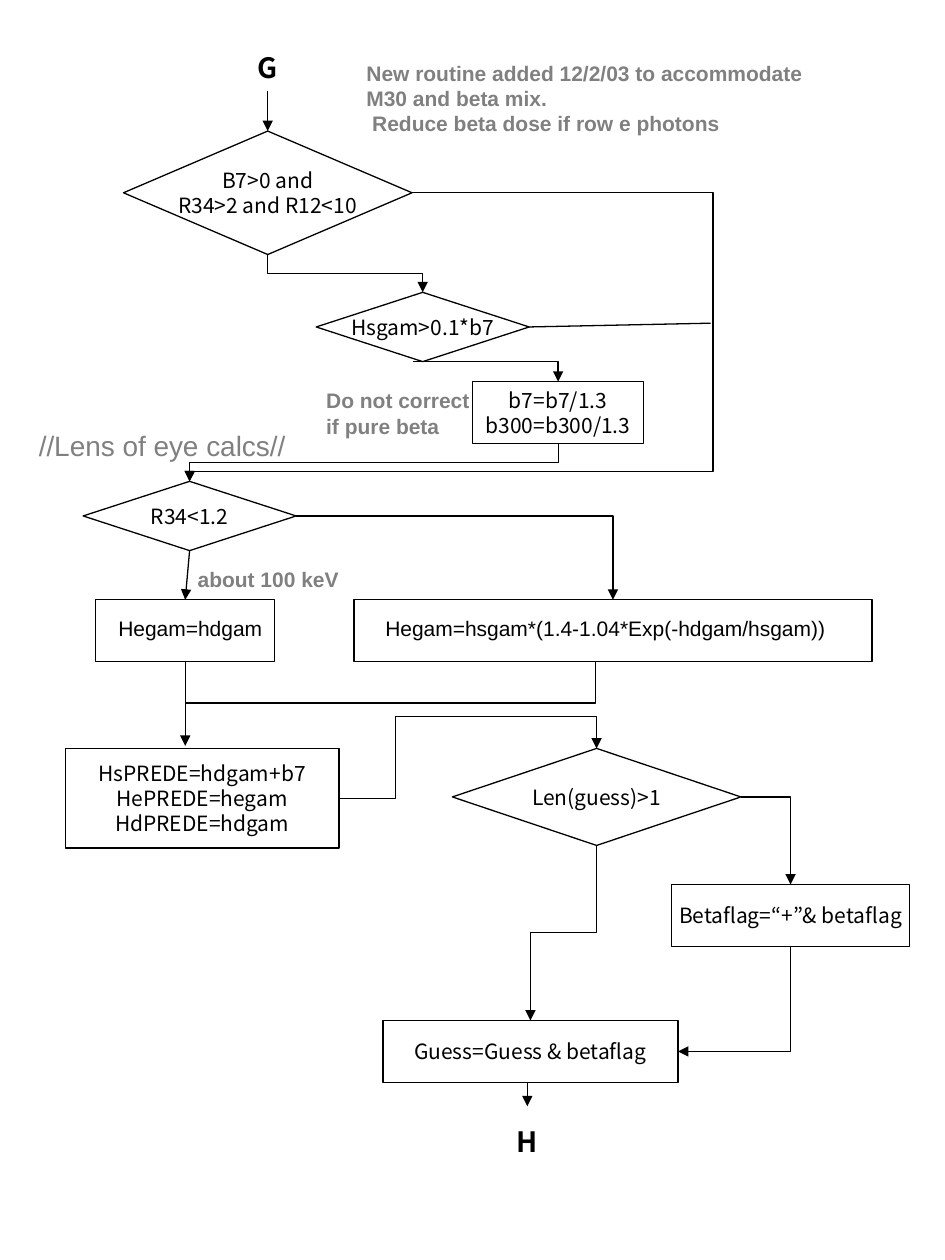
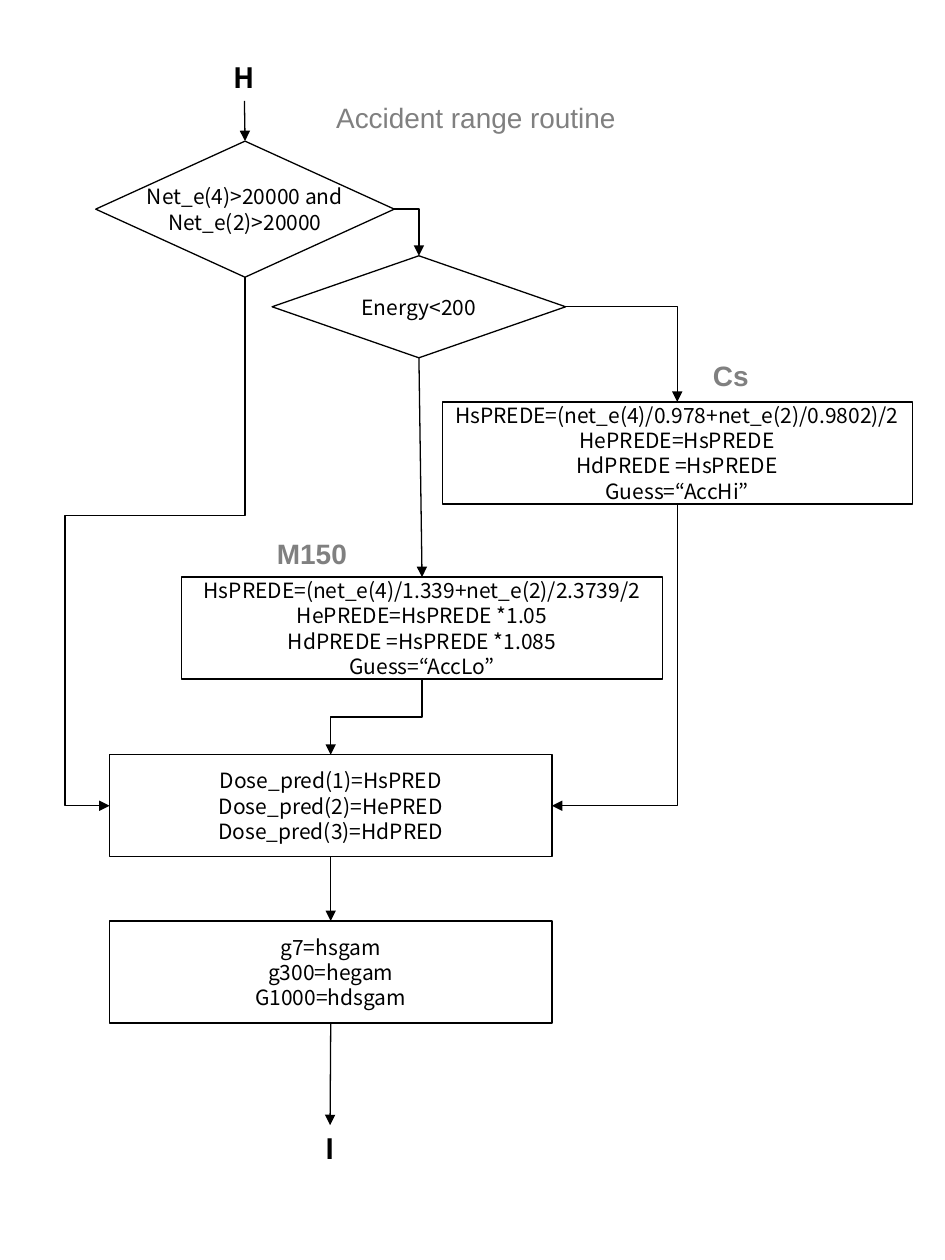
from dataclasses import dataclass

from lxml.etree import SubElement
from pptx import Presentation
from pptx.dml.color import RGBColor
from pptx.enum.shapes import MSO_CONNECTOR, MSO_SHAPE
from pptx.enum.text import MSO_ANCHOR, MSO_AUTO_SIZE, PP_ALIGN
from pptx.oxml.ns import qn
from pptx.util import Inches, Pt

BLACK = RGBColor(0x00, 0x00, 0x00)
GREY = RGBColor(0x80, 0x80, 0x80)
LINE_WIDTH = Pt(0.75)
CODE_FONT = "Noto Sans CJK KR"
NOTE_FONT = "Arial"

CODE = {"size": Pt(12), "name": CODE_FONT, "color": BLACK, "bold": False}
LETTER = {"size": Pt(16), "name": CODE_FONT, "color": BLACK, "bold": True}
FORMULA = {"size": Pt(12), "name": NOTE_FONT, "color": BLACK, "bold": False}
REMARK = {"size": Pt(12), "name": NOTE_FONT, "color": GREY, "bold": True}
HEADING = {"size": Pt(16), "name": NOTE_FONT, "color": GREY, "bold": False}
SOURCE = {"size": Pt(16), "name": NOTE_FONT, "color": GREY, "bold": True}


@dataclass
class Box:
    """A rectangle on the page, in inches, with the middles of its sides."""
    left: float
    top: float
    width: float
    height: float

    def inside(self, left, top, width, height):
        return Box(self.left + left, self.top + top, width, height)

    def lengths(self):
        return [Inches(v) for v in (self.left, self.top, self.width, self.height)]

    @property
    def north(self):
        return self.left + self.width / 2, self.top

    @property
    def south(self):
        return self.left + self.width / 2, self.top + self.height

    @property
    def west(self):
        return self.left, self.top + self.height / 2

    @property
    def east(self):
        return self.left + self.width, self.top + self.height / 2


def shift(point, across=0.0, down=0.0):
    return point[0] + across, point[1] + down


def write(frame, lines, style, align, space_before=0.0):
    for index, line in enumerate(lines):
        para = frame.paragraphs[0] if index == 0 else frame.add_paragraph()
        para.alignment = align
        para.space_before = Pt(space_before)
        span = para.add_run()
        span.text = line
        for name, value in style.items():
            if name == "color":
                span.font.color.rgb = value
            else:
                setattr(span.font, name, value)


def node(page, preset, box, lines):
    shape = page.shapes.add_shape(preset, *box.lengths())
    shape.shadow.inherit = False
    shape.fill.background()
    shape.line.color.rgb = BLACK
    shape.line.width = LINE_WIDTH
    frame = shape.text_frame
    frame.word_wrap = False
    frame.vertical_anchor = MSO_ANCHOR.MIDDLE
    write(frame, lines, CODE, PP_ALIGN.CENTER)
    return box


def decision(page, box, *lines):
    return node(page, MSO_SHAPE.FLOWCHART_DECISION, box, lines)


def process(page, box, *lines):
    return node(page, MSO_SHAPE.FLOWCHART_PROCESS, box, lines)


def label(page, box, style, *lines, align=PP_ALIGN.LEFT):
    frame = page.shapes.add_textbox(*box.lengths()).text_frame
    frame.word_wrap = True
    frame.auto_size = MSO_AUTO_SIZE.SHAPE_TO_FIT_TEXT
    space_before = style["size"].pt * 0.625 if len(lines) == 1 else 0
    write(frame, lines, style, align, space_before)
    return box


def letter(page, box, text):
    """Mark where the flow enters from or leaves to another page."""
    return label(page, box, LETTER, text, align=PP_ALIGN.CENTER)


def finish_line(connector, arrow):
    connector.line.color.rgb = BLACK
    connector.line.width = LINE_WIDTH
    properties = connector._element.spPr
    if arrow:
        SubElement(properties.find(qn("a:ln")), qn("a:tailEnd"), type="triangle")
    SubElement(properties, qn("a:effectLst"))


def straight(page, start, end, arrow=True):
    ends = [Inches(v) for v in (*start, *end)]
    finish_line(page.shapes.add_connector(MSO_CONNECTOR.STRAIGHT, *ends), arrow)


def elbow(page, start, end, *turns, down=False):
    """Leave start sideways, or downwards if down is set.

    The turns are distances from start, first along the way it leaves,
    then along the other axis.
    """
    across, drop = end[0] - start[0], end[1] - start[1]
    ends = (*start, *end)
    reach = (across, drop)
    turned = 0
    if down:
        reach = (drop, across)
        middle_x, middle_y = start[0] + across / 2, start[1] + drop / 2
        half_width, half_height = drop / 2, abs(across) / 2
        turned = 90
        if across > 0:
            half_width = -half_width
            turned = 270
        ends = (middle_x - half_width, middle_y - half_height,
                middle_x + half_width, middle_y + half_height)
    connector = page.shapes.add_connector(
        MSO_CONNECTOR.ELBOW, *[Inches(v) for v in ends])
    properties = connector._element.spPr
    if turned:
        properties.find(qn("a:xfrm")).set("rot", str(turned * 60000))
    geometry = properties.find(qn("a:prstGeom"))
    geometry.set("prst", f"bentConnector{2 + len(turns)}")
    guides = geometry.find(qn("a:avLst"))
    if guides is None:
        guides = SubElement(geometry, qn("a:avLst"))
    for number, (turn, length) in enumerate(zip(turns, reach), 1):
        SubElement(guides, qn("a:gd"), name=f"adj{number}",
                   fmla=f"val {round(turn / length * 100000)}")
    finish_line(connector, True)


def beta_correction(page, area):
    entry = letter(page, area.inside(1.28, 0.35, 0.69, 0.37), "G")
    label(page, area.inside(2.31, 0.43, 3.86, 0.7), REMARK,
          "New routine added 12/2/03 to accommodate M30 and beta mix.",
          " Reduce beta dose if row e photons")
    mixed = decision(page, area.inside(0.48, 1.04, 2.29, 0.98),
                     "B7>0 and", "R34>2 and R12<10")
    photons = decision(page, area.inside(2.01, 2.32, 1.69, 0.55), "Hsgam>0.1*b7")
    reduced = process(page, area.inside(3.25, 3.03, 1.36, 0.49),
                      "b7=b7/1.3", "b300=b300/1.3")
    label(page, area.inside(1.99, 3.03, 1.42, 0.5), REMARK,
          "Do not correct if pure beta")
    straight(page, entry.south, mixed.north)
    elbow(page, mixed.south, photons.north, 0.15, down=True)
    elbow(page, shift(photons.south, -0.08), reduced.north)
    straight(page, photons.east, shift(photons.east, 1.44, -0.03), arrow=False)
    return mixed, reduced


def lens_of_eye(page, area, mixed, reduced):
    label(page, area.inside(-0.29, 0.05, 2.44, 0.37), HEADING,
          "//Lens of eye calcs//")
    low = decision(page, area.inside(0.16, 0.52, 1.69, 0.55), "R34<1.2")
    direct = process(page, area.inside(0.26, 1.46, 1.42, 0.49))
    scaled = process(page, area.inside(2.31, 1.46, 4.11, 0.49))
    label(page, area.inside(0.34, 1.54, 1.42, 0.3), FORMULA, "Hegam=hdgam")
    label(page, area.inside(2.46, 1.54, 3.9, 0.3), FORMULA,
          "Hegam=hsgam*(1.4-1.04*Exp(-hdgam/hsgam))")
    label(page, area.inside(0.97, 1.15, 1.42, 0.3), REMARK, "about 100 keV")
    elbow(page, reduced.south, low.north, 0.15, down=True)
    elbow(page, mixed.east, low.north, 2.39, 2.21)
    elbow(page, low.east, scaled.north)
    straight(page, low.south, direct.north)
    straight(page, direct.south, shift(direct.south, 0, 0.62), arrow=False)
    elbow(page, shift(scaled.south, -0.14), shift(direct.south, 0, 0.67),
          0.33, down=True)


def beta_flag(page, area):
    doses = process(page, area.inside(0.02, 0.44, 2.17, 0.79),
                    "HsPREDE=hdgam+b7", "HePREDE=hegam", "HdPREDE=hdgam")
    guessed = decision(page, area.inside(3.09, 0.44, 2.29, 0.77), "Len(guess)>1")
    plus = process(page, area.inside(4.83, 1.52, 1.89, 0.49),
                   "Betaflag=“+”& betaflag")
    joined = process(page, area.inside(2.54, 2.6, 2.34, 0.49),
                     "Guess=Guess & betaflag")
    way_out = letter(page, area.inside(3.34, 3.38, 0.69, 0.37), "H")
    elbow(page, doses.east, guessed.north, 0.45, -0.65)
    elbow(page, guessed.east, plus.north)
    elbow(page, guessed.south, joined.north, 0.69, down=True)
    elbow(page, plus.south, joined.east, down=True)
    leaving = way_out.north[0], joined.south[1]
    straight(page, leaving, shift(leaving, 0, 0.19))


def accident_range(page, area):
    entry = letter(page, area.inside(0.97, 0.43, 0.94, 0.37), "H")
    label(page, area.inside(2.07, 0.75, 3.07, 0.37), HEADING,
          "Accident range routine")
    high = decision(page, area.inside(0.26, 1.12, 2.37, 1.08),
                    "Net_e(4)>20000 and", "Net_e(2)>20000")
    energy = decision(page, area.inside(1.66, 2.03, 2.33, 0.81), "Energy<200")
    cesium = process(page, area.inside(3.01, 3.19, 3.73, 0.81),
                     "HsPREDE=(net_e(4)/0.978+net_e(2)/0.9802)/2",
                     "HePREDE=HsPREDE", "HdPREDE =HsPREDE", "Guess=“AccHi”")
    x_ray = process(page, area.inside(0.94, 4.58, 3.82, 0.81),
                    "HsPREDE=(net_e(4)/1.339+net_e(2)/2.3739/2",
                    "HePREDE=HsPREDE *1.05", "HdPREDE =HsPREDE *1.085",
                    "Guess=“AccLo”")
    label(page, area.inside(5.06, 2.8, 0.95, 0.37), SOURCE, "Cs")
    label(page, area.inside(1.6, 4.21, 1.1, 0.37), SOURCE, "M150")
    straight(page, entry.south, high.north)
    elbow(page, high.east, energy.north)
    elbow(page, energy.east, cesium.north)
    straight(page, energy.south, x_ray.north)
    return high, x_ray, cesium


def predicted_doses(page, area, high, x_ray, cesium):
    doses = process(page, area.inside(0.37, 0.49, 3.51, 0.81),
                    "Dose_pred(1)=HsPRED", "Dose_pred(2)=HePRED",
                    "Dose_pred(3)=HdPRED")
    gammas = process(page, area.inside(0.37, 1.81, 3.51, 0.81),
                     "g7=hsgam", "g300=hegam", "G1000=hdsgam")
    way_out = letter(page, area.inside(1.61, 3.43, 1.02, 0.37), "I")
    elbow(page, high.south, doses.west, 1.89, -1.43, down=True)
    elbow(page, x_ray.south, doses.north, 0.3, down=True)
    elbow(page, cesium.south, doses.east, down=True)
    straight(page, doses.south, gammas.north)
    straight(page, gammas.south, way_out.north)


def main():
    deck = Presentation()
    deck.slide_width, deck.slide_height = Inches(7.5), Inches(10)
    blank = deck.slide_layouts[6]

    page = deck.slides.add_slide(blank)
    mixed, reduced = beta_correction(page, Box(0.5, 0, 6.5, 3.3))
    lens_of_eye(page, Box(0.5, 3.3, 6.5, 2.2), mixed, reduced)
    beta_flag(page, Box(0.5, 5.5, 6.5, 4))

    page = deck.slides.add_slide(blank)
    branches = accident_range(page, Box(0.5, 0, 6.5, 5.5))
    predicted_doses(page, Box(0.5, 5.5, 6.5, 4), *branches)

    deck.save("out.pptx")


if __name__ == "__main__":
    main()
